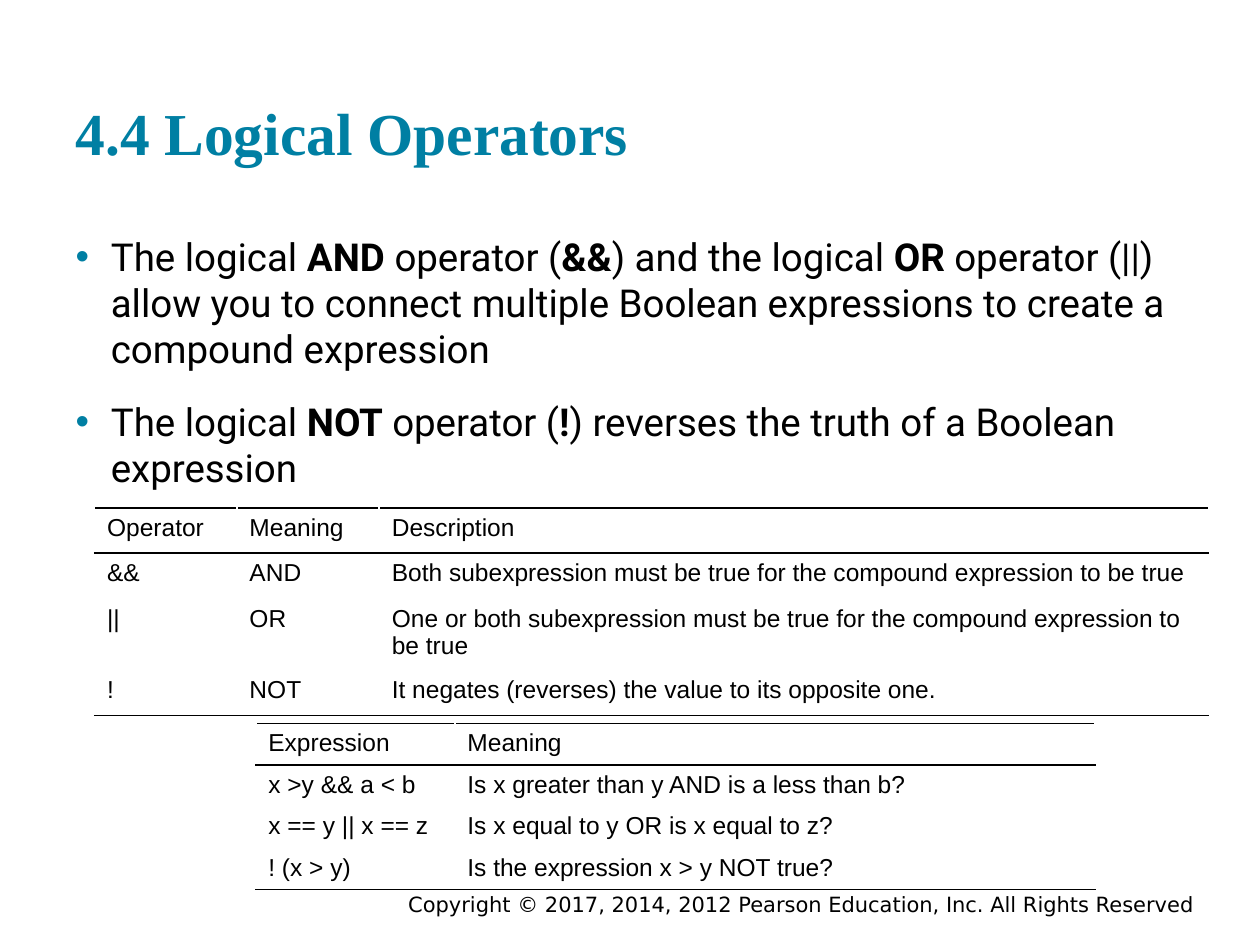
from lxml import etree
from pptx import Presentation
from pptx.dml.color import RGBColor
from pptx.enum.text import MSO_ANCHOR, MSO_AUTO_SIZE, PP_ALIGN
from pptx.oxml.ns import qn
from pptx.util import Inches, Pt

LEFT, RIGHT = PP_ALIGN.LEFT, PP_ALIGN.RIGHT
BOTTOM, MIDDLE = MSO_ANCHOR.BOTTOM, MSO_ANCHOR.MIDDLE
NO_AUTOFIT = MSO_AUTO_SIZE.NONE
COLORS = {"accent": "007FA3", "text": "000000", "paper": "FFFFFF"}

# Text pieces alternate between regular and bold.
BULLETS = [
    ["The logical ", "AND", " operator (", "&&", ") and the logical ", "OR",
     " operator (", "||", ") allow you to connect multiple Boolean expressions "
     "to create a compound expression"],
    ["The logical ", "NOT", " operator (", "!",
     ") reverses the truth of a Boolean expression"],
]
OPERATORS = [
    ["Operator", "Meaning", "Description"],
    ["&&", "AND", "Both subexpression must be true for the compound expression to be true"],
    ["||", "OR", "One or both subexpression must be true for the compound expression to be true"],
    ["!", "NOT", "It negates (reverses) the value to its opposite one."],
]
EXPRESSIONS = [
    ["Expression", "Meaning"],
    ["x >y && a < b", "Is x greater than y AND is a less than b?"],
    ["x == y || x == z", "Is x equal to y OR is x equal to z?"],
    ["! (x > y)", "Is the expression x > y NOT true?"],
]


def set_font(paragraph, name, size, color):
    paragraph.font.name = name
    paragraph.font.size = Pt(size)
    paragraph.font.color.rgb = RGBColor.from_string(COLORS[color])


def add_ruled_table(slide, left, top, widths, heights, rows):
    """Add a white table with black rules around its header and at its foot."""
    frame = slide.shapes.add_table(
        len(rows), len(widths), Inches(left), Inches(top),
        Inches(sum(widths)), Inches(sum(heights)))
    table = frame.table
    for column, width in zip(table.columns, widths):
        column.width = Inches(width)
    last = len(rows) - 1
    for row_index, texts in enumerate(rows):
        table.rows[row_index].height = Inches(heights[row_index])
        borders = {
            "lnL": "paper",
            "lnR": "paper",
            "lnT": "text" if row_index <= 1 else "paper",
            "lnB": "text" if row_index in (0, last) else "paper",
        }
        for column_index, text in enumerate(texts):
            cell = table.cell(row_index, column_index)
            cell.text = text
            set_font(cell.text_frame.paragraphs[0], "Arial", 14, "text")
            properties = cell._tc.get_or_add_tcPr()
            for tag, color in borders.items():
                line = etree.SubElement(properties, qn(f"a:{tag}"), w=str(Pt(1)))
                solid = etree.SubElement(line, qn("a:solidFill"))
                etree.SubElement(solid, qn("a:srgbClr"), val=COLORS[color])
            cell.fill.solid()
            cell.fill.fore_color.rgb = RGBColor.from_string(COLORS["paper"])


presentation = Presentation()
presentation.slide_width, presentation.slide_height = Inches(10), Inches(7.5)
slide = presentation.slides.add_slide(presentation.slide_layouts[1])
title, body = slide.shapes.title, slide.placeholders[1]

for placeholder, top, height in ((title, 0.66, 0.77), (body, 1.75, 2.26)):
    placeholder.left, placeholder.top = Inches(0.5), Inches(top)
    placeholder.width, placeholder.height = Inches(9), Inches(height)
    frame = placeholder.text_frame
    frame.auto_size = NO_AUTOFIT
    frame.margin_left = frame.margin_right = Inches(0.1)
    frame.margin_top = frame.margin_bottom = Inches(0.1)

title.text_frame.text = "4.4 Logical Operators"
title.text_frame.vertical_anchor = BOTTOM
heading = title.text_frame.paragraphs[0]
heading.alignment = LEFT
set_font(heading, "Times New Roman", 34, "accent")
heading.font.bold = True

for index, pieces in enumerate(BULLETS):
    frame = body.text_frame
    paragraph = frame.add_paragraph() if index else frame.paragraphs[0]
    paragraph.space_before = Pt(15 if index else 0)
    properties = paragraph._p.get_or_add_pPr()
    properties.set("marL", str(Inches(0.28)))
    properties.set("indent", str(Inches(-0.28)))
    bullet_color = etree.SubElement(properties, qn("a:buClr"))
    etree.SubElement(bullet_color, qn("a:srgbClr"), val=COLORS["accent"])
    etree.SubElement(properties, qn("a:buChar"), char="•")
    set_font(paragraph, "Roboto", 22, "text")
    for piece_index, piece in enumerate(pieces):
        run = paragraph.add_run()
        run.text = piece
        # The OR symbol is the one operator symbol set in regular weight.
        run.font.bold = piece_index % 2 == 1 and piece != "||"

add_ruled_table(slide, 0.75, 4.03, [1.13, 1.13, 6.58], [0.36, 0.36, 0.57, 0.36], OPERATORS)
add_ruled_table(slide, 2.03, 5.74, [1.58, 5.08], [0.33] * 4, EXPRESSIONS)

footer = slide.shapes.add_textbox(Inches(2.92), Inches(7.05), Inches(6.66), Inches(0.25))
footer.text_frame.word_wrap = True
footer.text_frame.vertical_anchor = MIDDLE
footer.text_frame.text = "Copyright © 2017, 2014, 2012 Pearson Education, Inc. All Rights Reserved"
copyright_line = footer.text_frame.paragraphs[0]
copyright_line.alignment = RIGHT
set_font(copyright_line, "DejaVu Sans", 12, "text")

presentation.save("out.pptx")
